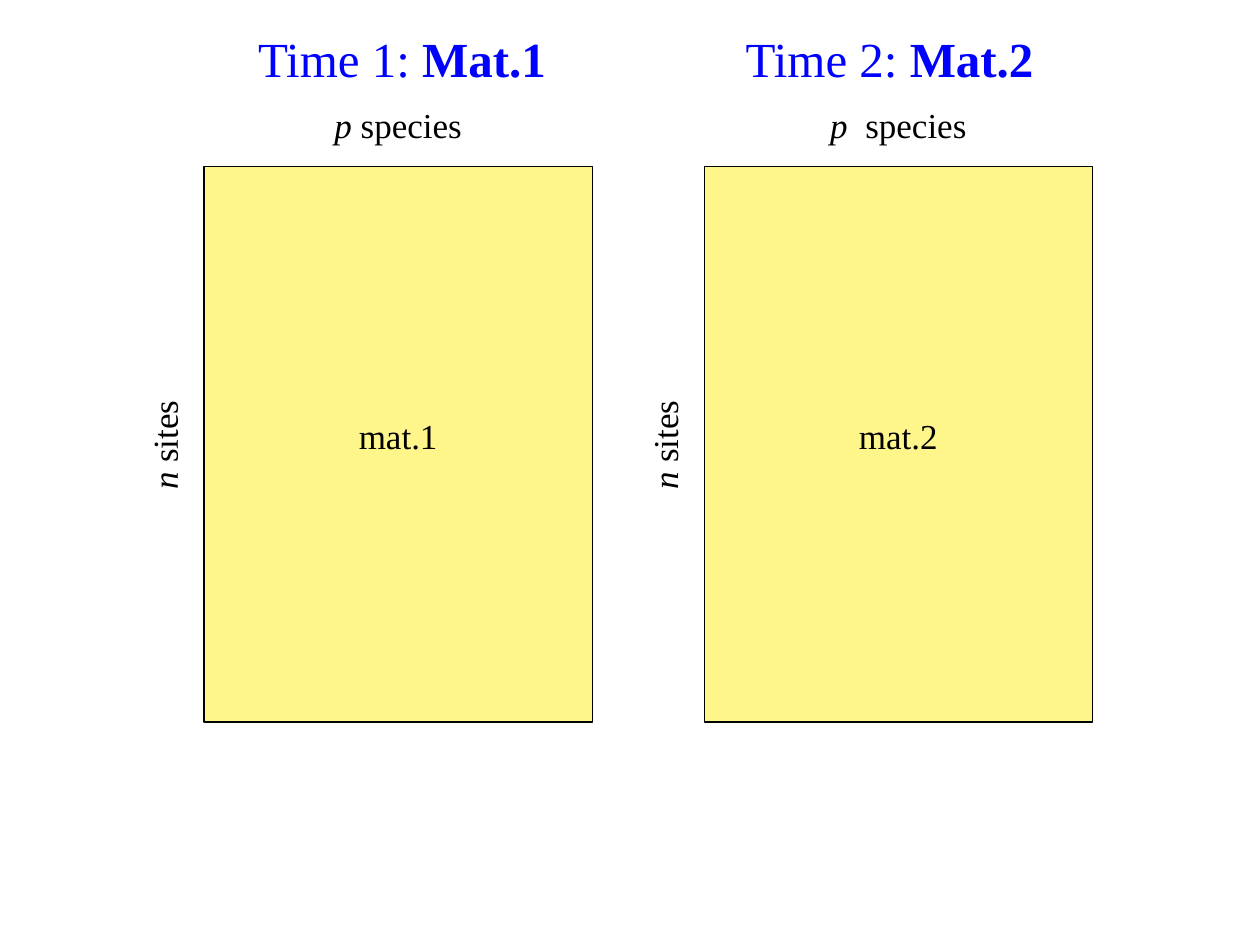
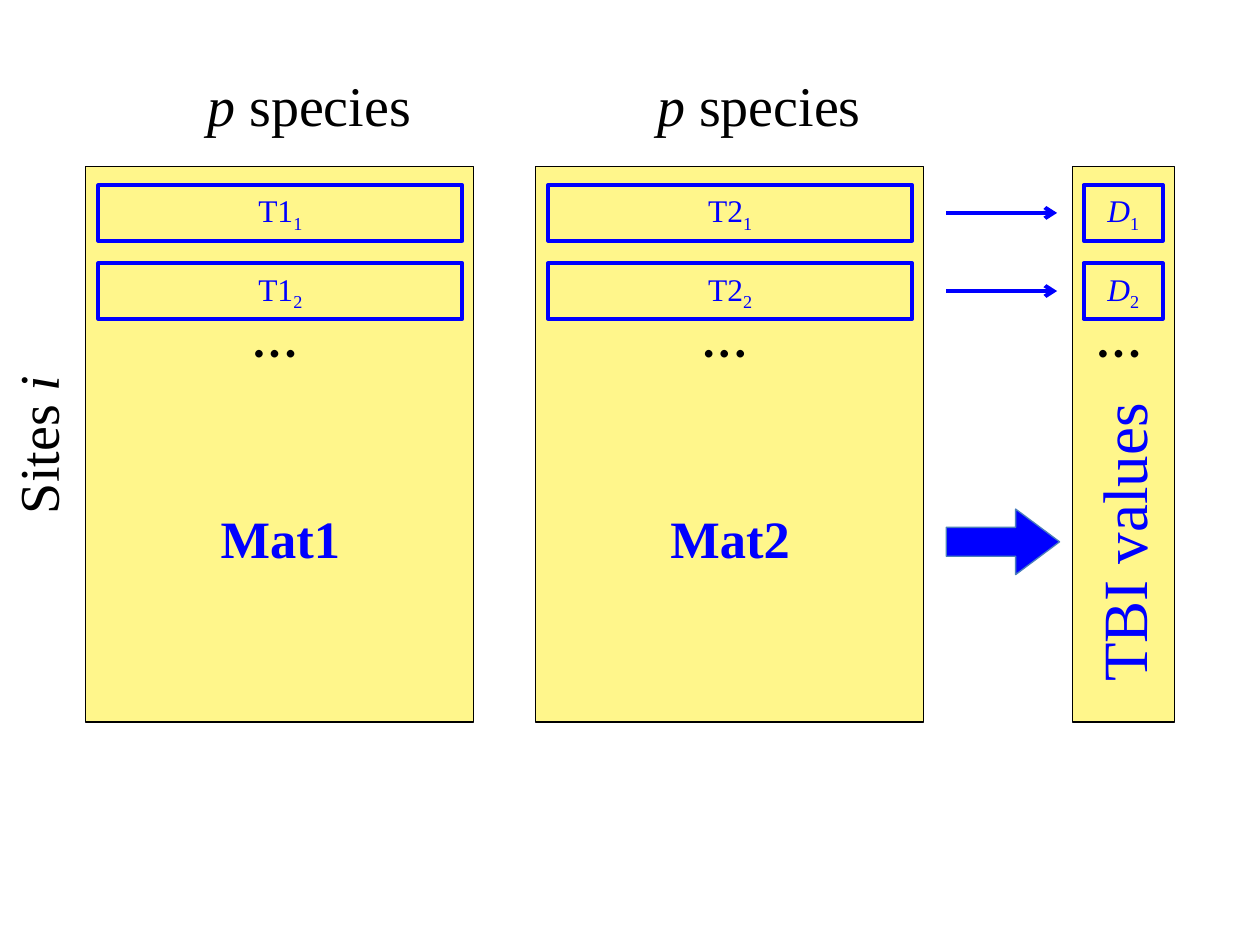
from dataclasses import dataclass

from lxml.etree import SubElement
from pptx import Presentation
from pptx.dml.color import RGBColor
from pptx.enum.shapes import MSO_CONNECTOR, MSO_SHAPE
from pptx.enum.text import MSO_AUTO_SIZE, PP_ALIGN
from pptx.oxml.ns import qn
from pptx.slide import Slide
from pptx.util import Inches, Pt

BLACK = RGBColor(0x00, 0x00, 0x00)
BLUE = RGBColor(0x00, 0x00, 0xFF)
STEEL = RGBColor(0x4B, 0x7E, 0xBC)
YELLOW = RGBColor(0xFF, 0xF6, 0x8B)
SERIF = "Times New Roman"
SANS = "Calibri"

TOP = 1.32
WIDE = 3.08
HIGH = 4.41
ROWS = (1.47, 2.09)
ROW_HIGH = 0.44


@dataclass
class Box:
    left: float
    top: float
    width: float
    height: float

    def size(self) -> tuple:
        return tuple(Inches(n) for n in (self.left, self.top, self.width, self.height))


@dataclass
class Bit:
    text: str
    bold: bool = False
    italic: bool = False
    sub: bool = False


@dataclass
class Panel:
    left: float
    title: float
    name: str
    gap: str


@dataclass
class Column:
    left: float
    width: float
    inset: float
    cell: float
    label: float
    mark: Bit
    dots: float


def add_text(slide: Slide, box: Box, *bits: Bit, size: float = 20, color: RGBColor = BLACK,
             font: str = SERIF, align: PP_ALIGN = PP_ALIGN.CENTER,
             wrap: bool = False, turn: float = 0) -> None:
    shape = slide.shapes.add_textbox(*box.size())
    shape.rotation = turn
    frame = shape.text_frame
    frame.word_wrap = wrap
    frame.auto_size = MSO_AUTO_SIZE.SHAPE_TO_FIT_TEXT
    line = frame.paragraphs[0]
    line.alignment = align
    for bit in bits:
        run = line.add_run()
        run.text = bit.text
        run.font.name = font
        run.font.size = Pt(size)
        run.font.color.rgb = color
        run.font.bold = bit.bold
        run.font.italic = bit.italic
        if bit.sub:
            run._r.get_or_add_rPr().set("baseline", "-25000")


def add_block(slide: Slide, box: Box, fill: RGBColor | None = YELLOW,
              edge: RGBColor = BLACK, weight: float = 0.75,
              kind: MSO_SHAPE = MSO_SHAPE.RECTANGLE, adjust: tuple = ()) -> None:
    shape = slide.shapes.add_shape(kind, *box.size())
    shape.shadow.inherit = False
    if fill is None:
        shape.fill.background()
    else:
        shape.fill.solid()
        shape.fill.fore_color.rgb = fill
    shape.line.color.rgb = edge
    shape.line.width = Pt(weight)
    for at, value in enumerate(adjust):
        shape.adjustments[at] = value


def add_arrow(slide: Slide, left: float, right: float, y: float) -> None:
    arrow = slide.shapes.add_connector(
        MSO_CONNECTOR.STRAIGHT, Inches(left), Inches(y), Inches(right), Inches(y))
    arrow.line.color.rgb = BLUE
    arrow.line.width = Pt(2.25)
    SubElement(arrow.line._get_or_add_ln(), qn("a:tailEnd"), type="arrow")
    SubElement(arrow._element.spPr, qn("a:effectLst"))


def add_panel(slide: Slide, panel: Panel, time: int) -> None:
    left = panel.left
    add_block(slide, Box(left, TOP, WIDE, HIGH))
    add_text(slide, Box(left - 0.78, 3.31, 0.93, 0.44),
             Bit("n", italic=True), Bit(" sites"), turn=270)
    add_text(slide, Box(left + 0.65, 0.77, 1.78, 0.44),
             Bit("p" + panel.gap, italic=True), Bit("species"), wrap=True)
    add_text(slide, Box(panel.title, 0.18, 2.51, 0.57),
             Bit(f"Time {time}: "), Bit(panel.name.title(), bold=True),
             size=28, color=BLUE, align=PP_ALIGN.LEFT)
    add_text(slide, Box(left + 1, 3.24, 1.08, 0.44), Bit(panel.name), wrap=True)


def add_column(slide: Slide, col: Column) -> None:
    add_block(slide, Box(col.left, TOP, col.width, HIGH))
    mid = col.left + col.inset + col.cell / 2
    for row, top in enumerate(ROWS, 1):
        add_block(slide, Box(col.left + col.inset, top, col.cell, ROW_HIGH),
                  fill=None, edge=BLUE, weight=2.25)
        add_text(slide, Box(mid - col.label / 2, top, col.label, 0.4),
                 col.mark, Bit(str(row), sub=True), size=18, color=BLUE)
    add_text(slide, Box(col.dots, 2.29, 0.62, 0.71), Bit("…"),
             size=36, font=SANS, align=PP_ALIGN.LEFT)


def draw_data(slide: Slide) -> None:
    panels = (Panel(1.62, 1.95, "mat.1", " "), Panel(5.59, 5.82, "mat.2", "  "))
    for time, panel in enumerate(panels, 1):
        add_panel(slide, panel, time)


def draw_index(slide: Slide) -> None:
    for time, left in enumerate((0.68, 4.25), 1):
        add_column(slide, Column(left, WIDE, 0.1, 2.89, 0.57, Bit(f"T{time}"), left + 1.23))
        add_text(slide, Box(left + 0.3, 3.97, 2.49, 0.61), Bit(f"Mat{time}", bold=True),
                 size=30, color=BLUE, wrap=True)
        add_text(slide, Box(left + 0.81, 0.51, 1.93, 0.64),
                 Bit("p ", italic=True), Bit("species"), size=32, wrap=True)
    add_column(slide, Column(8.51, 0.81, 0.09, 0.63, 0.5, Bit("D", italic=True), 8.61))
    add_text(slide, Box(-0.42, 3.21, 1.43, 0.64), Bit("Sites "), Bit("i", italic=True),
             size=32, turn=270)
    add_text(slide, Box(7.7, 3.95, 2.43, 0.71), Bit("TBI values"),
             size=36, color=BLUE, turn=270)
    for top in ROWS:
        add_arrow(slide, 7.51, 8.39, top + ROW_HIGH / 2)
    add_block(slide, Box(7.51, 4.04, 0.9, 0.52), fill=BLUE, edge=STEEL,
              kind=MSO_SHAPE.RIGHT_ARROW, adjust=(0.44, 0.67))


def main() -> None:
    deck = Presentation()
    deck.slide_width = Inches(10)
    deck.slide_height = Inches(7.5)
    for draw in (draw_data, draw_index):
        draw(deck.slides.add_slide(deck.slide_layouts[6]))
    deck.save("out.pptx")


main()
